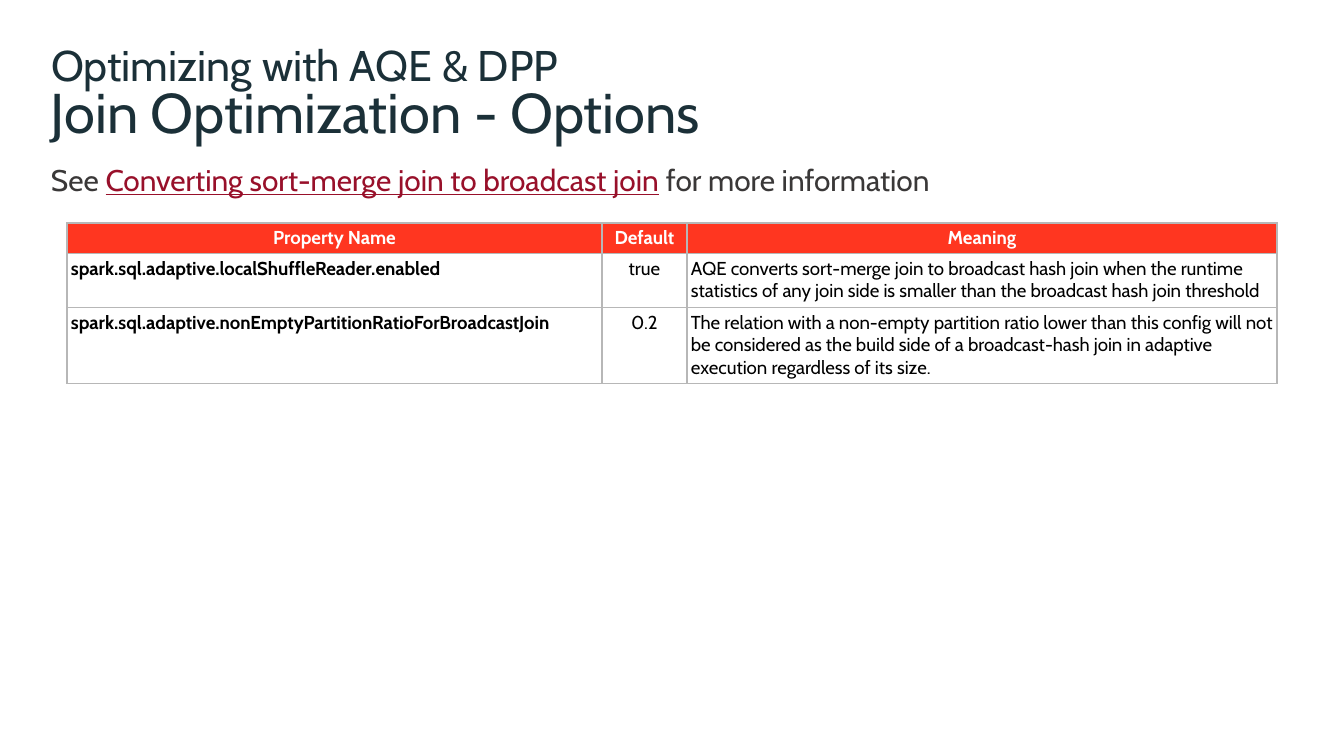
import pptx
import pptx.dml.color
import pptx.enum.text
import pptx.oxml
import pptx.oxml.ns
import pptx.util

PX = 914400 / 134.4  # EMU per pixel
FONT = "Cabin"
COLORS = {
    "title": "1B3038",
    "body": "3A3838",
    "link": "98102A",
    "header": "FF3620",
    "white": "FFFFFF",
    "black": "000000",
    "border": "B7B7B7",
}
COLUMNS = [535, 85, 590]
ROW_HEIGHTS = [30, 54, 76]
ROWS = [
    ("Property Name", "Default", "Meaning"),
    (
        "spark.sql.adaptive.localShuffleReader.enabled",
        "true",
        "AQE converts sort-merge join to broadcast hash join when the runtime "
        "statistics of any join side is smaller than the broadcast hash join threshold",
    ),
    (
        "spark.sql.adaptive.nonEmptyPartitionRatioForBroadcastJoin",
        "0.2",
        "The relation with a non-empty partition ratio lower than this config will not "
        "be considered as the build side of a broadcast-hash join in adaptive "
        "execution regardless of its size.",
    ),
]


def px(n):
    return pptx.util.Emu(round(n * PX))


def rgb(name):
    return pptx.dml.color.RGBColor.from_string(COLORS[name])


def set_font(font, size, color, bold=False):
    font.name = FONT
    font.size = pptx.util.Pt(size)
    font.bold = bold
    font.color.rgb = rgb(color)


def add_text(slide, box, size, color, runs, inset=0, spacing=None):
    """Add one line of text; runs are (text, colour, underlined)."""
    tf = slide.shapes.add_textbox(*map(px, box)).text_frame
    tf.word_wrap = True
    tf.margin_left = tf.margin_right = 0
    tf.margin_top = tf.margin_bottom = px(inset)
    p = tf.paragraphs[0]
    p.line_spacing = spacing
    set_font(p.font, size, color)
    for text, run_color, underlined in runs:
        r = p.add_run()
        r.text = text
        r.font.color.rgb = rgb(run_color)
        if underlined:
            r.font.underline = True


def add_borders(cell):
    tc_pr = cell._tc.get_or_add_tcPr()
    for side in "LRTB":
        tc_pr.append(pptx.oxml.parse_xml(
            f'<a:ln{side} {pptx.oxml.ns.nsdecls("a")} w="{pptx.util.Pt(0.75)}">'
            f'<a:solidFill><a:srgbClr val="{COLORS["border"]}"/></a:solidFill>'
            f'</a:ln{side}>'
        ))


def fill_cell(cell, text, header, column):
    add_borders(cell)
    cell.fill.solid()
    cell.fill.fore_color.rgb = rgb("header" if header else "white")
    cell.margin_left = cell.margin_right = px(4)
    cell.margin_top = cell.margin_bottom = px(4)
    cell.text = text
    p = cell.text_frame.paragraphs[0]
    align = pptx.enum.text.PP_ALIGN
    p.alignment = align.CENTER if header or column == 1 else align.LEFT
    set_font(p.font, 10, "white" if header else "black", bold=header or column == 0)


def add_options_table(slide, left, top):
    table = slide.shapes.add_table(
        len(ROWS), len(COLUMNS), px(left), px(top),
        px(sum(COLUMNS)), px(sum(ROW_HEIGHTS)),
    ).table
    for column, width in zip(table.columns, COLUMNS):
        column.width = px(width)
    for i, (height, texts) in enumerate(zip(ROW_HEIGHTS, ROWS)):
        table.rows[i].height = px(height)
        for j, text in enumerate(texts):
            fill_cell(table.cell(i, j), text, i == 0, j)


def main():
    prs = pptx.Presentation()
    prs.slide_width, prs.slide_height = px(1344), px(756)
    s = prs.slides.add_slide(prs.slide_layouts[6])

    # Title and subtitle
    add_text(s, (51, 34, 1292, 56), 23, "title",
             [("Optimizing with AQE & DPP", "title", False)], inset=5)
    add_text(s, (51, 78, 1293, 67), 30, "title",
             [("Join Optimization - Options", "title", False)])

    # Reference line
    add_text(s, (51, 161, 1293, 51), 16, "body", [
        ("See ", "body", False),
        ("Converting sort-merge join to broadcast join", "link", True),
        (" for more information", "body", False),
    ], inset=5, spacing=0.9)

    # Configuration options
    add_options_table(s, 67, 223)

    prs.save("out.pptx")


if __name__ == "__main__":
    main()
